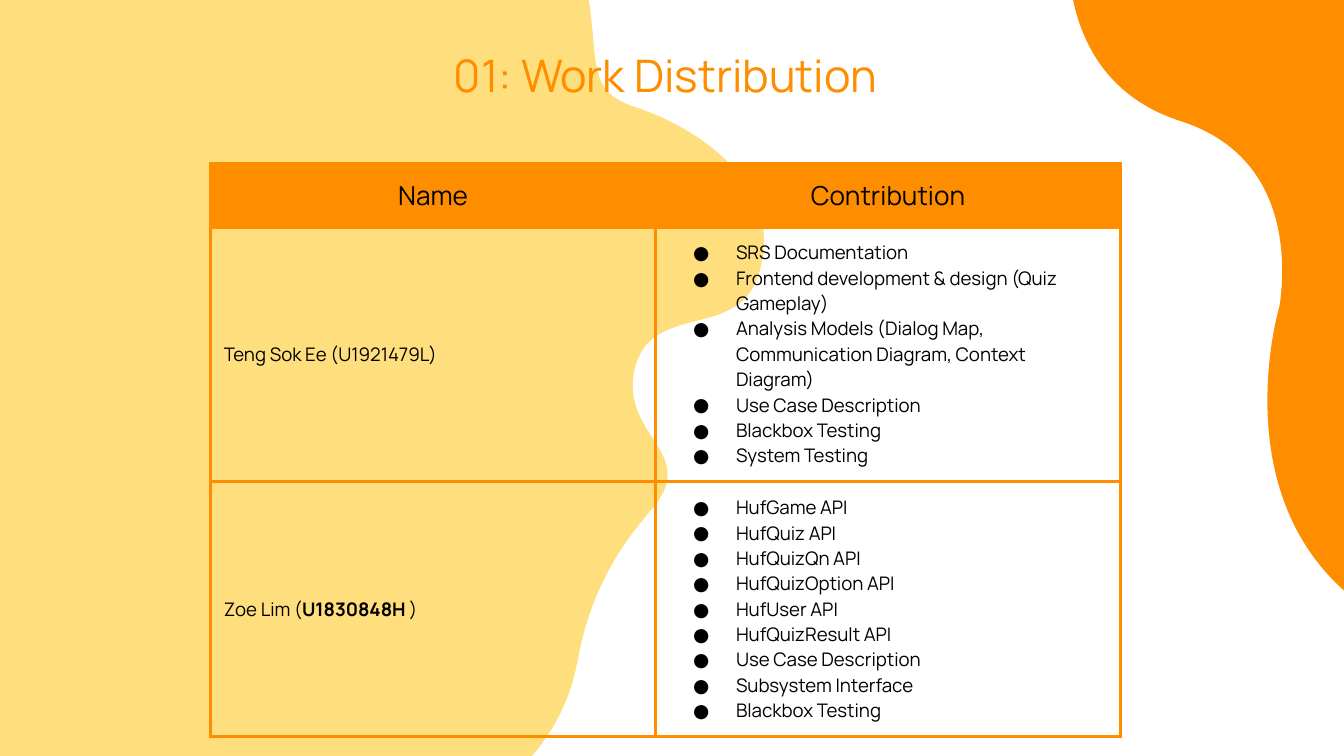
from dataclasses import dataclass

from lxml import etree
from pptx import Presentation
from pptx.dml.color import RGBColor
from pptx.enum.text import MSO_ANCHOR, PP_ALIGN
from pptx.oxml.ns import qn
from pptx.util import Cm, Pt

MIDDLE, BOTTOM = MSO_ANCHOR.MIDDLE, MSO_ANCHOR.BOTTOM
LEFT, CENTER = PP_ALIGN.LEFT, PP_ALIGN.CENTER
INCH = 2.54


@dataclass(frozen=True)
class Theme:
    font: str = "Manrope"
    orange: str = "FF8D00"
    amber: str = "FFC100"
    white: str = "FFFFFF"
    black: str = "000000"
    title_pt: float = 24
    header_pt: float = 14
    body_pt: float = 10
    border_pt: float = 2.25


@dataclass(frozen=True)
class Outline:
    start: tuple
    segments: tuple


@dataclass(frozen=True)
class Member:
    name_runs: tuple
    tasks: tuple


THEME = Theme()

BLOB = Outline((3.19, -1.22), (
    (3.66, -1.22, 4.17, -0.89, 4.32, -0.3),
    (4.5, 0.41, 4.3, 0.66, 4.73, 0.8),
    (5.16, 0.94, 5.84, 1.36, 5.65, 2.02),
    (5.51, 2.55, 4.84, 2.23, 4.72, 2.75),
    (4.61, 3.26, 5.23, 3.37, 4.83, 3.81),
    (4.8, 3.85),
    (4.54, 4.15, 4.37, 4.51, 4.3, 4.9),
    (4.25, 5.17, 4.14, 5.47, 3.81, 5.78),
    (3.6, 5.97, 3.18, 6.14, 2.77, 6.14),
    (2.59, 6.14, 2.42, 6.11, 2.27, 6.04),
    (2.18, 6.01, 2.11, 5.99, 2.05, 5.99),
    (1.78, 5.99, 1.64, 6.27, 1.21, 6.41),
    (1.12, 6.44, 1.02, 6.45, 0.92, 6.45),
    (0.45, 6.45, -0.06, 6.12, -0.21, 5.53),
    (-0.4, 4.82, -0.19, 4.57, -0.62, 4.43),
    (-1.05, 4.3, -1.75, 3.87, -1.54, 3.21),
    (-1.36, 2.62, -0.73, 3, -0.61, 2.49),
    (-0.5, 1.97, -1.12, 1.87, -0.72, 1.42),
    (-0.69, 1.38),
    (-0.43, 1.08, -0.25, 0.72, -0.19, 0.33),
    (-0.14, 0.06, -0.03, -0.25, 0.3, -0.55),
    (0.56, -0.78, 0.97, -0.93, 1.34, -0.93),
    (1.53, -0.93, 1.7, -0.89, 1.84, -0.81),
    (1.93, -0.76, 2, -0.74, 2.07, -0.74),
    (2.32, -0.74, 2.48, -1.04, 2.9, -1.18),
    (2.99, -1.2, 3.09, -1.22, 3.19, -1.22),
))

CORNER_WAVE = Outline((7.95, -0.34), (
    (7.95, -0.02, 8.04, 0.66, 8.78, 0.9),
    (9.44, 1.11, 9.54, 1.67, 9.54, 2.01),
    (9.54, 2.17, 9.52, 2.28, 9.52, 2.28),
    (9.52, 2.28, 9.43, 2.58, 9.43, 2.98),
    (9.43, 3.48, 9.57, 4.13, 10.2, 4.55),
    (10.2, -0.41),
    (7.95, -0.41),
    (7.95, -0.39, 7.95, -0.37, 7.95, -0.34),
))

HEADERS = ("Name", "Contribution")
MEMBERS = (
    Member((("Teng Sok Ee (U1921479L)", False),), (
        "SRS Documentation",
        "Frontend development & design (Quiz Gameplay)",
        "Analysis Models (Dialog Map, Communication Diagram, Context Diagram)",
        "Use Case Description", "Blackbox Testing", "System Testing")),
    Member((("Zoe Lim (", False), ("U1830848H ", True), (")", False)), (
        "HufGame API", "HufQuiz API", "HufQuizQn API", "HufQuizOption API",
        "HufUser API", "HufQuizResult API", "Use Case Description",
        "Subsystem Interface", "Blackbox Testing")),
)


def add_outline(s, outline: Outline, color: str, alpha: int = 100) -> None:
    """Draw a filled outline of lines and cubic curves, with opacity in percent."""
    points = [(Cm(x * INCH), Cm(y * INCH)) for seg in outline.segments
              for x, y in zip(seg[::2], seg[1::2])]
    builder = s.shapes.build_freeform(*(Cm(v * INCH) for v in outline.start))
    builder.add_line_segments(points, close=True)
    sp = builder.convert_to_shape()
    lines = iter(list(sp._element.iter(qn("a:lnTo"))))
    for seg in outline.segments:
        first, *others = [next(lines) for _ in seg[::2]]
        if others:
            curve = etree.Element(qn("a:cubicBezTo"))
            first.addprevious(curve)
            for line in (first, *others):
                curve.append(line[0])
                line.getparent().remove(line)
    sp.shadow.inherit = False
    sp.line.fill.background()
    sp.fill.solid()
    sp.fill.fore_color.rgb = RGBColor.from_string(color)
    if alpha < 100:
        clr = sp._element.spPr.find(qn("a:solidFill"))[0]
        etree.SubElement(clr, qn("a:alpha"), val=str(alpha * 1000))


def add_run(p, text: str, size: float, color: str, bold: bool = False) -> None:
    """Add one formatted run to a paragraph."""
    r = p.add_run()
    r.text = text
    r.font.name = THEME.font
    r.font.size = Pt(size)
    r.font.bold = bold
    r.font.color.rgb = RGBColor.from_string(color)


def set_bullet(p) -> None:
    """Give a paragraph a hanging round bullet."""
    pPr = p._p.get_or_add_pPr()
    pPr.set("marL", str(Cm(1.27)))
    pPr.set("indent", str(Cm(-0.81)))
    clr = etree.SubElement(pPr, qn("a:buClr"))
    etree.SubElement(clr, qn("a:srgbClr"), val=THEME.black)
    etree.SubElement(pPr, qn("a:buSzPts"), val=str(THEME.body_pt * 100))
    etree.SubElement(pPr, qn("a:buFont"), typeface=THEME.font)
    etree.SubElement(pPr, qn("a:buChar"), char="●")


def set_margins(box) -> None:
    """Set equal insets on a cell or a text frame."""
    box.margin_left = box.margin_right = box.margin_top = box.margin_bottom = Cm(0.25)


def style_cell(cell, fill: str = "") -> None:
    """Set borders, insets, anchor and fill of a cell."""
    tcPr = cell._tc.get_or_add_tcPr()
    for side in ("lnL", "lnR", "lnT", "lnB"):
        ln = etree.SubElement(tcPr, qn(f"a:{side}"), w=str(Pt(THEME.border_pt)))
        solid = etree.SubElement(ln, qn("a:solidFill"))
        etree.SubElement(solid, qn("a:srgbClr"), val=THEME.orange)
    set_margins(cell)
    cell.vertical_anchor = MIDDLE
    if fill:
        cell.fill.solid()
        cell.fill.fore_color.rgb = RGBColor.from_string(fill)
    else:
        cell.fill.background()


def add_title(s, text: str) -> None:
    """Add the centred slide title."""
    tf = s.shapes.add_textbox(Cm(3.98), Cm(0.47), Cm(17.2), Cm(1.7)).text_frame
    tf.word_wrap = True
    tf.vertical_anchor = BOTTOM
    set_margins(tf)
    p = tf.paragraphs[0]
    p.alignment = CENTER
    add_run(p, text, THEME.title_pt, THEME.orange)


def add_work_table(s) -> None:
    """Add the table of members and their contributions."""
    widths, heights = (8.41, 8.79), (1.19, 4.8, 4.82)
    table = s.shapes.add_table(len(heights), len(widths), Cm(3.98), Cm(3.1),
                               Cm(sum(widths)), Cm(sum(heights))).table
    table.first_row = table.horz_banding = False
    for col, width in zip(table.columns, widths):
        col.width = Cm(width)
    for row, height in zip(table.rows, heights):
        row.height = Cm(height)
    for i, header in enumerate(HEADERS):
        cell = table.cell(0, i)
        style_cell(cell, THEME.orange)
        p = cell.text_frame.paragraphs[0]
        p.alignment = CENTER
        add_run(p, header, THEME.header_pt, THEME.black)
    for i, member in enumerate(MEMBERS, start=1):
        name, work = table.cell(i, 0), table.cell(i, 1)
        style_cell(name)
        style_cell(work)
        p = name.text_frame.paragraphs[0]
        p.alignment = LEFT
        for text, bold in member.name_runs:
            add_run(p, text, THEME.body_pt, THEME.black, bold)
        tf = work.text_frame
        for j, task in enumerate(member.tasks):
            p = tf.add_paragraph() if j else tf.paragraphs[0]
            set_bullet(p)
            add_run(p, task, THEME.body_pt, THEME.black)


def main() -> None:
    """Build the slide and save it."""
    prs = Presentation()
    prs.slide_width, prs.slide_height = Cm(25.4), Cm(14.29)
    s = prs.slides.add_slide(prs.slide_layouts[6])
    add_outline(s, BLOB, THEME.amber)
    add_outline(s, BLOB, THEME.white, alpha=49)
    add_outline(s, CORNER_WAVE, THEME.orange)
    add_work_table(s)
    add_title(s, "01: Work Distribution")
    prs.save("out.pptx")


if __name__ == "__main__":
    main()
